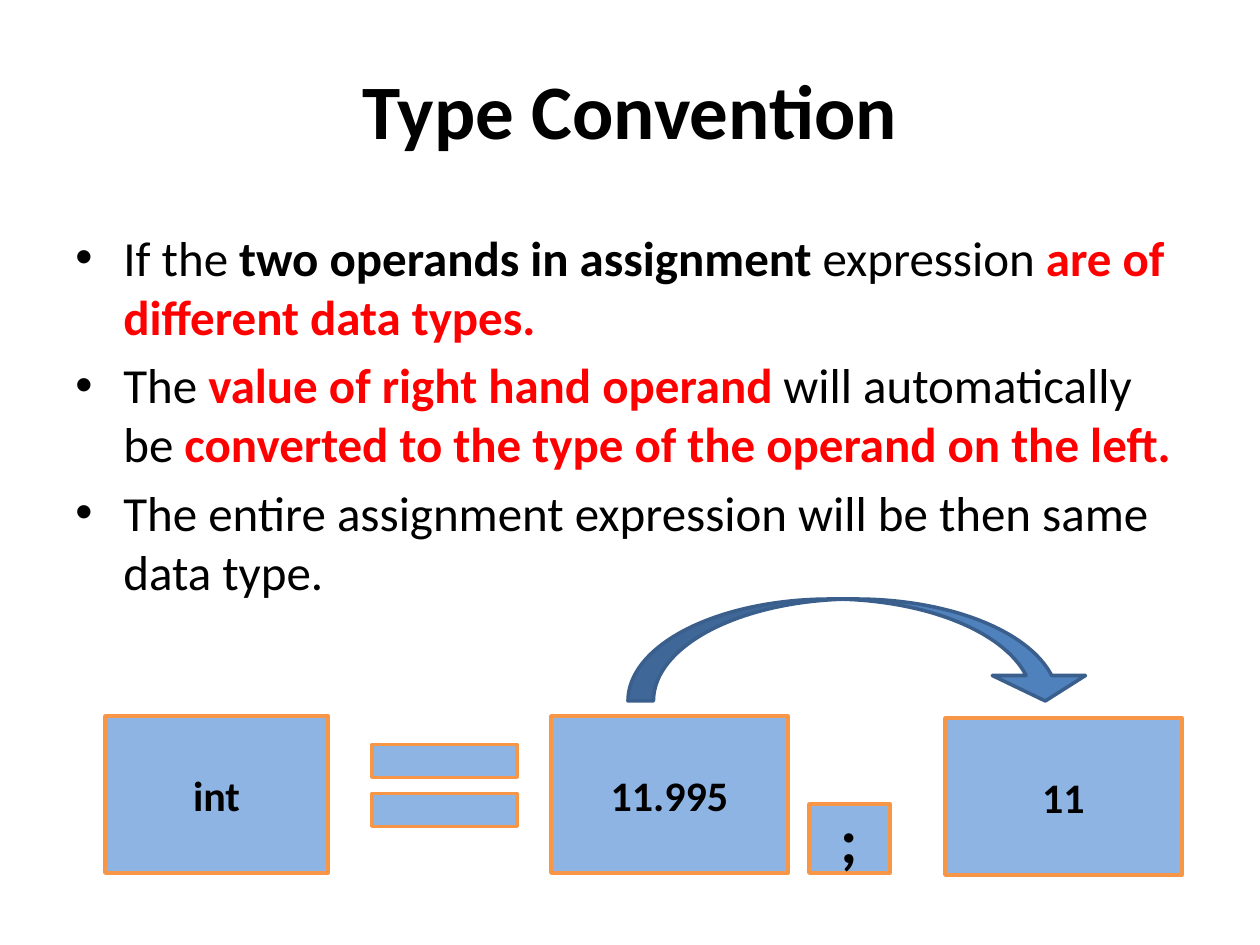
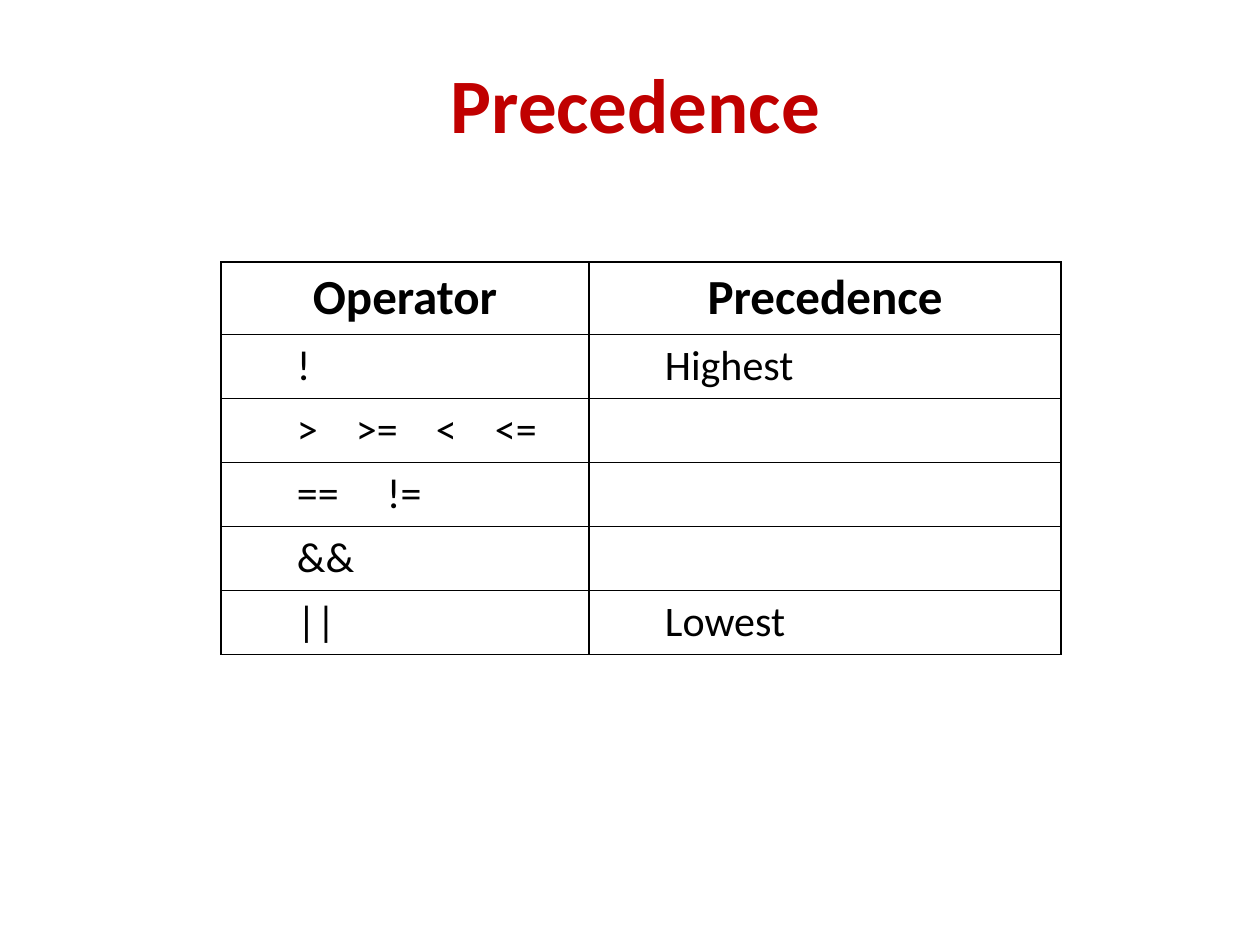
from lxml import etree
from pptx import Presentation
from pptx import util as u
from pptx.dml.color import RGBColor
from pptx.enum import shapes, text
from pptx.oxml import ns

COLORS = {
    "black": "000000",
    "red": "FF0000",
    "dark_red": "C00000",
    "box": "8EB4E3",
    "box_line": "F79646",
    "arrow": "4F81BD",
    "arrow_line": "3A5F8C",
}
FONT = "Calibri"
PX_PER_INCH = 126


def px(length):
    return u.Emu(round(length * 914400 / PX_PER_INCH))


def color(name):
    return RGBColor.from_string(COLORS[name])


def add_xml(parent, tag, **attributes):
    return etree.SubElement(parent, ns.qn(tag), attributes)


class Deck:
    def __init__(self):
        self.presentation = Presentation()
        self.presentation.slide_width = px(1260)
        self.presentation.slide_height = px(945)
        self.slide = None

    def add_slide(self, title, box, title_color="black"):
        layout = self.presentation.slide_layouts[5]
        self.slide = self.presentation.slides.add_slide(layout)
        shape = self.slide.shapes.title
        shape.left, shape.top, shape.width, shape.height = map(px, box)
        shape.text_frame.vertical_anchor = text.MSO_ANCHOR.MIDDLE
        paragraph = shape.text_frame.paragraphs[0]
        paragraph.alignment = text.PP_ALIGN.CENTER
        self.run(paragraph, title, 44, True, title_color)

    def run(self, paragraph, words, size, bold=False, color_name="black"):
        run = paragraph.add_run()
        run.text = words
        run.font.name = FONT
        run.font.size = u.Pt(size)
        run.font.bold = bold
        run.font.color.rgb = color(color_name)

    def bullets(self, box, items, size=28, hanging=48):
        frame = self.slide.shapes.add_textbox(*map(px, box)).text_frame
        frame.word_wrap = True
        for index, runs in enumerate(items):
            paragraph = frame.add_paragraph() if index else frame.paragraphs[0]
            if index:
                paragraph.space_before = u.Pt(size * 0.2)
            properties = paragraph._p.get_or_add_pPr()
            properties.set("marL", str(px(hanging)))
            properties.set("indent", str(px(-hanging)))
            add_xml(properties, "a:buFont", typeface="Arial")
            add_xml(properties, "a:buChar", char="•")
            for words, bold, color_name in runs:
                self.run(paragraph, words, size, bold, color_name)

    def shape(self, kind, box, fill="box", line="box_line", label="", size=24):
        shape = self.slide.shapes.add_shape(kind, *map(px, box))
        shape.shadow.inherit = False
        shape.fill.solid()
        shape.fill.fore_color.rgb = color(fill)
        shape.line.color.rgb = color(line)
        shape.line.width = u.Pt(2)
        if label:
            shape.text_frame.vertical_anchor = text.MSO_ANCHOR.MIDDLE
            paragraph = shape.text_frame.paragraphs[0]
            paragraph.alignment = text.PP_ALIGN.CENTER
            self.run(paragraph, label, size, True)
        return shape

    def borders(self, cell):
        properties = cell._tc.get_or_add_tcPr()
        for side in ("a:lnL", "a:lnR", "a:lnT", "a:lnB"):
            line = add_xml(properties, side, w=str(u.Pt(1)))
            fill = add_xml(line, "a:solidFill")
            add_xml(fill, "a:srgbClr", val=COLORS["black"])

    def table(self, left, top, widths, heights, rows, indent=76):
        frame = self.slide.shapes.add_table(
            len(rows), len(widths), px(left), px(top), px(sum(widths)), px(sum(heights)))
        table = frame.table
        table.horz_banding = False
        for column, width in zip(table.columns, widths):
            column.width = px(width)
        for row, height in zip(table.rows, heights):
            row.height = px(height)
        for row_index, row in enumerate(rows):
            header = row_index == 0
            for column_index, (words, tabs) in enumerate(row):
                cell = table.cell(row_index, column_index)
                self.borders(cell)
                cell.fill.background()
                paragraph = cell.text_frame.paragraphs[0]
                if header:
                    paragraph.alignment = text.PP_ALIGN.CENTER
                else:
                    cell.margin_left = px(indent)
                if tabs:
                    stops = add_xml(paragraph._p.get_or_add_pPr(), "a:tabLst")
                    for position in tabs:
                        add_xml(stops, "a:tab", pos=str(px(position)), algn="l")
                if words:
                    self.run(paragraph, words, 28 if header else 24, header)


def build_type_convention(deck):
    deck.add_slide("Type Convention", (63, 38, 1134, 141))
    deck.bullets((63, 221, 1134, 624), [
        [("If the ", False, "black"),
         ("two operands in assignment ", True, "black"),
         ("expression ", False, "black"),
         ("are of different data types.", True, "red")],
        [("The ", False, "black"),
         ("value of right hand operand ", True, "red"),
         ("will automatically be ", False, "black"),
         ("converted to the type of the operand on the left.", True, "red")],
        [("The entire assignment expression will be then same data type.", False, "black")],
    ])
    kinds = shapes.MSO_SHAPE
    deck.shape(kinds.MATH_EQUAL, (346, 716, 197, 139))
    for label, box, size in [
        ("int", (105, 716, 223, 157), 24),
        (";", (809, 804, 81, 69), 36),
        ("11.995", (551, 716, 237, 157), 24),
        ("11", (945, 718, 237, 157), 24),
    ]:
        deck.shape(kinds.RECTANGLE, box, label=label, size=size)
    arrow = deck.shape(kinds.CURVED_LEFT_ARROW, (809, 418, 102, 464), "arrow", "arrow_line")
    arrow.rotation = 270
    for index, value in enumerate((0.25, 0.915, 0.25)):
        arrow.adjustments[index] = value


def build_precedence(deck):
    deck.add_slide("Precedence", (42, 48, 1187, 110), "dark_red")
    empty = ("", ())
    deck.table(221, 262, (368, 472), [72] + [64] * 5, [
        [("Operator", ()), ("Precedence", ())],
        [("!", ()), ("Highest", ())],
        [(">\t>=\t<\t<=", (59, 139, 198)), empty],
        [("==\t!=", (90,)), empty],
        [("&&", ()), empty],
        [("||", ()), ("Lowest", ())],
    ])


def main():
    deck = Deck()
    build_type_convention(deck)
    build_precedence(deck)
    deck.presentation.save("out.pptx")


if __name__ == "__main__":
    main()
